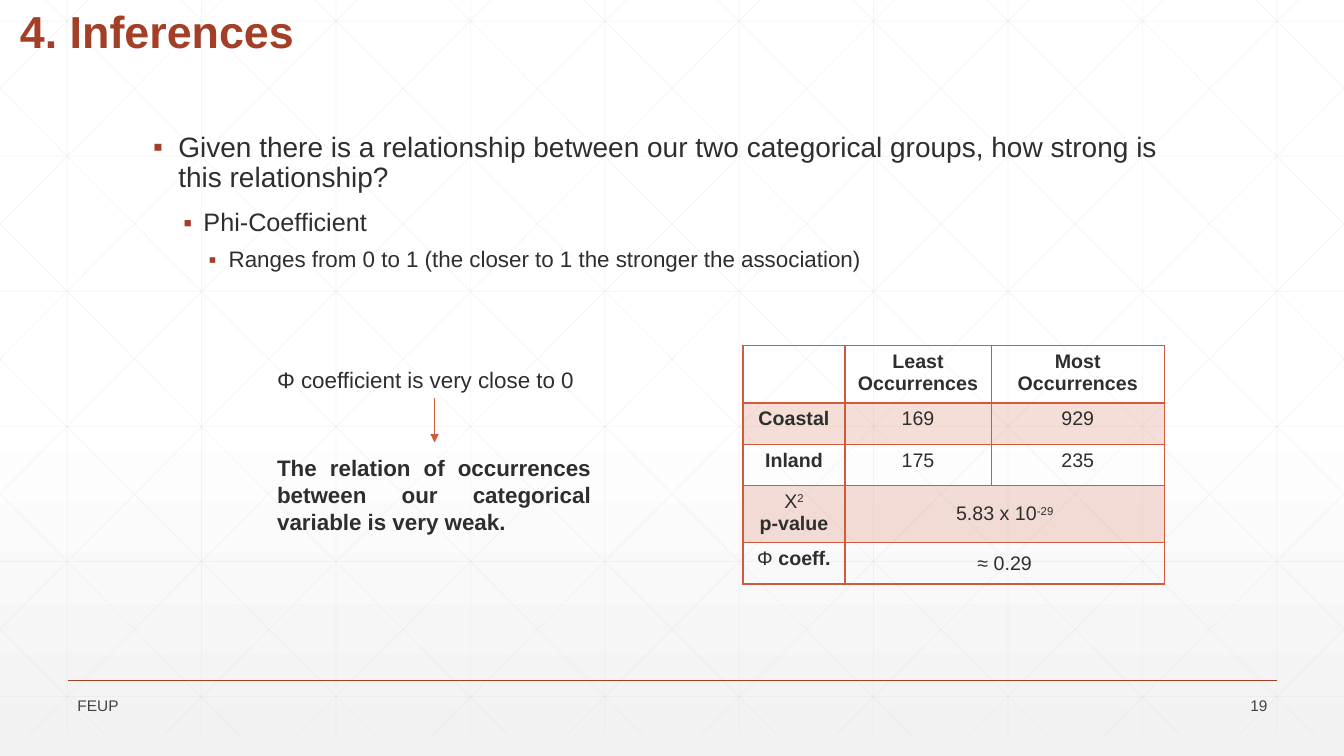
from lxml import etree
from pptx import Presentation
from pptx.dml.color import RGBColor
from pptx.enum.shapes import MSO_CONNECTOR
from pptx.enum.text import MSO_ANCHOR, PP_ALIGN
from pptx.oxml.ns import qn
from pptx.util import Inches, Pt

STRAIGHT = MSO_CONNECTOR.STRAIGHT
TOP, MIDDLE, BOTTOM = MSO_ANCHOR.TOP, MSO_ANCHOR.MIDDLE, MSO_ANCHOR.BOTTOM
LEFT, CENTER, RIGHT, JUSTIFY = PP_ALIGN.LEFT, PP_ALIGN.CENTER, PP_ALIGN.RIGHT, PP_ALIGN.JUSTIFY
FONT = "Arial"
COLORS = {"text": "2D2E2D", "footer": "424342", "title": "A43F27", "accent": "D15A3E",
          "grid": "D9D9D9", "white": "FFFFFF", "gray": "F2F2F2"}
WIDTH, HEIGHT = 13.33, 7.5


def rgb(name):
    """Return the named colour."""
    return RGBColor.from_string(COLORS[name])


def sub(parent, tag, **attrs):
    """Append a DrawingML element with attributes."""
    el = etree.SubElement(parent, qn(tag))
    for key, value in attrs.items():
        el.set(key, str(value))
    return el


def set_alpha(el, percent):
    """Make the colours inside an element translucent."""
    for clr in el.iter(qn("a:srgbClr")):
        sub(clr, "a:alpha", val=percent * 1000)


def add_line(s, x1, y1, x2, y2, color, width):
    """Draw a straight line without a shadow."""
    line = s.shapes.add_connector(STRAIGHT, Inches(x1), Inches(y1), Inches(x2), Inches(y2))
    line.line.color.rgb = rgb(color)
    line.line.width = Pt(width)
    sub(line._element.spPr, "a:effectLst")
    return line


def add_run(p, text, size, color="text", bold=False, raised=False):
    """Add one formatted run."""
    r = p.add_run()
    r.text = text
    r.font.name, r.font.size, r.font.bold = FONT, Pt(size), bold
    r.font.color.rgb = rgb(color)
    if raised:
        r.font._element.set("baseline", "30000")


def add_text_box(s, box, anchor=TOP):
    """Add a wrapping text box and return its text frame."""
    tf = s.shapes.add_textbox(*map(Inches, box)).text_frame
    tf.word_wrap = True
    tf.vertical_anchor = anchor
    return tf


def add_label(s, box, text, size, color="text", bold=False, align=LEFT, anchor=TOP):
    """Add a text box holding one paragraph."""
    p = add_text_box(s, box, anchor).paragraphs[0]
    p.alignment = align
    add_run(p, text, size, color, bold)
    return p


def add_background(s):
    """Fill the slide with a vertical white to gray gradient."""
    fill = s.background.fill
    fill.gradient()
    fill.gradient_angle = 270
    stops = next(s.background._cSld.iter(qn("a:gsLst")))
    for stop in list(stops):
        stops.remove(stop)
    for pos, color in ((0, "white"), (53, "white"), (100, "gray")):
        sub(sub(stops, "a:gs", pos=pos * 1000), "a:srgbClr", val=COLORS[color])


def add_grid(s, top, bottom):
    """Draw the faint lattice of straight and diagonal lines."""
    step = WIDTH / 10
    run = 7.455
    slope = (bottom - top) / run
    lines = [(step * (k + 0.5), top, step * (k + 0.5), bottom) for k in range(10)]
    lines += [(0, 0.21 + 1.34 * k, WIDTH, 0.21 + 1.34 * k) for k in range(6)]
    for k in range(-5, 10):
        start = 0.25 + step * k
        x1, x2 = max(start, 0), min(start + run, WIDTH)
        y1, y2 = (top + (x - start) * slope for x in (x1, x2))
        lines += [(x1, y1, x2, y2), (WIDTH - x1, y1, WIDTH - x2, y2)]
    for ends in lines:
        line = add_line(s, *ends, "grid", 0.5)
        set_alpha(line._element.spPr, 25)


def add_title(s, box):
    """Add the slide title."""
    p = add_label(s, box, "4. Inferences", 32, "title", True, anchor=BOTTOM)
    p.line_spacing = 0.9


def add_bullets(s, box):
    """Add the three-level bullet list."""
    items = [
        ("Given there is a relationship between our two categorical groups, "
         "how strong is this relationship?", 20, 18, 0.25, 0.25),
        ("Phi-Coefficient", 18, 12, 0.5, 0.2),
        ("Ranges from 0 to 1 (the closer to 1 the stronger the association)", 16, 8, 0.75, 0.2),
    ]
    tf = add_text_box(s, box)
    for level, (text, size, before, indent, hang) in enumerate(items):
        p = tf.paragraphs[0] if level == 0 else tf.add_paragraph()
        p.level, p.line_spacing, p.space_before = level, 0.9, Pt(before)
        pPr = p._p.get_or_add_pPr()
        pPr.set("marL", str(Inches(indent)))
        pPr.set("indent", str(-Inches(hang)))
        sub(sub(pPr, "a:buClr"), "a:srgbClr", val=COLORS["title"])
        sub(pPr, "a:buFont", typeface=FONT)
        sub(pPr, "a:buChar", char="▪")
        add_run(p, text, size)


def add_conclusion(s, x, y):
    """Add the coefficient statement, the arrow and its meaning."""
    add_label(s, (x, y, 4.17, 0.37), "Φ coefficient is very close to 0", 16)
    arrow = add_line(s, x + 1.66, y + 0.37, x + 1.66, y + 0.81, "accent", 0.5)
    sub(arrow.line._get_or_add_ln(), "a:tailEnd", type="triangle")
    add_label(s, (x, y + 0.88, 3.31, 0.91),
              "The relation of occurrences between our categorical variable is very weak.",
              16, bold=True, align=JUSTIFY)


def style_cell(cell, row):
    """Set the borders and the band fill of a table cell."""
    tcPr = cell._tc.get_or_add_tcPr()
    for side in "LRTB":
        thick = (row, side) in ((0, "B"), (1, "T"))
        ln = sub(tcPr, "a:ln" + side, w=Pt(2 if thick else 1))
        sub(sub(ln, "a:solidFill"), "a:srgbClr", val=COLORS["accent"])
    if row % 2:
        cell.fill.solid()
        cell.fill.fore_color.rgb = rgb("accent")
        set_alpha(tcPr.find(qn("a:solidFill")), 20)
    else:
        cell.fill.background()


def add_results_table(s, x, y):
    """Add the table of occurrences and test results."""
    widths, heights = (1.01, 1.45, 1.72), (0.54, 0.41, 0.41, 0.54, 0.41)
    bold, plain, raised = (True, False), (False, False), (False, True)
    rows = [
        [[], [[("Least", bold)], [("Occurrences", bold)]],
         [[("Most", bold)], [("Occurrences", bold)]]],
        [[[("Coastal", bold)]], [[("169", plain)]], [[("929", plain)]]],
        [[[("Inland", bold)]], [[("175", plain)]], [[("235", plain)]]],
        [[[("Χ", plain), ("2", raised)], [("p-value", bold)]],
         [[("5.83 x 10", plain), ("-29", raised)]], []],
        [[[("Φ ", plain), ("coeff.", bold)]], [[("≈ 0.29", plain)]], []],
    ]
    table = s.shapes.add_table(len(rows), len(widths), Inches(x), Inches(y),
                               Inches(sum(widths)), Inches(sum(heights))).table
    table.horz_banding = False
    for column, width in zip(table.columns, widths):
        column.width = Inches(width)
    for i, (cells, height) in enumerate(zip(rows, heights)):
        table.rows[i].height = Inches(height)
        for j, paragraphs in enumerate(cells):
            cell = table.cell(i, j)
            style_cell(cell, i)
            for k, runs in enumerate(paragraphs):
                tf = cell.text_frame
                p = tf.paragraphs[0] if k == 0 else tf.add_paragraph()
                p.alignment = CENTER
                for text, (is_bold, is_raised) in runs:
                    add_run(p, text, 14, bold=is_bold, raised=is_raised)
        if i >= 3:
            table.cell(i, 1).merge(table.cell(i, 2))
            table.cell(i, 1).vertical_anchor = MIDDLE


def add_footer(s, x, y, width):
    """Add the rule, the footer text and the page number."""
    add_line(s, x, y, x + width, y, "title", 1)
    add_label(s, (x, y + 0.13, 6.7, 0.24), "FEUP", 11, "footer", anchor=MIDDLE)
    add_label(s, (x + width - 1, y + 0.13, 1, 0.24), "19", 11, "footer",
              align=RIGHT, anchor=MIDDLE)


def main():
    """Build and save the slide."""
    prs = Presentation()
    prs.slide_width, prs.slide_height = Inches(WIDTH), Inches(HEIGHT)
    s = prs.slides.add_slide(prs.slide_layouts[6])
    add_background(s)
    add_grid(s, -0.21, 7.29)
    add_footer(s, 0.67, 6.75, 12)
    add_bullets(s, (1.42, 1.27, 10.5, 1.83))
    add_results_table(s, 7.37, 3.43)
    add_conclusion(s, 2.65, 3.58)
    add_title(s, (0.1, -0.62, 10.5, 1.25))
    prs.save("out.pptx")


if __name__ == "__main__":
    main()
